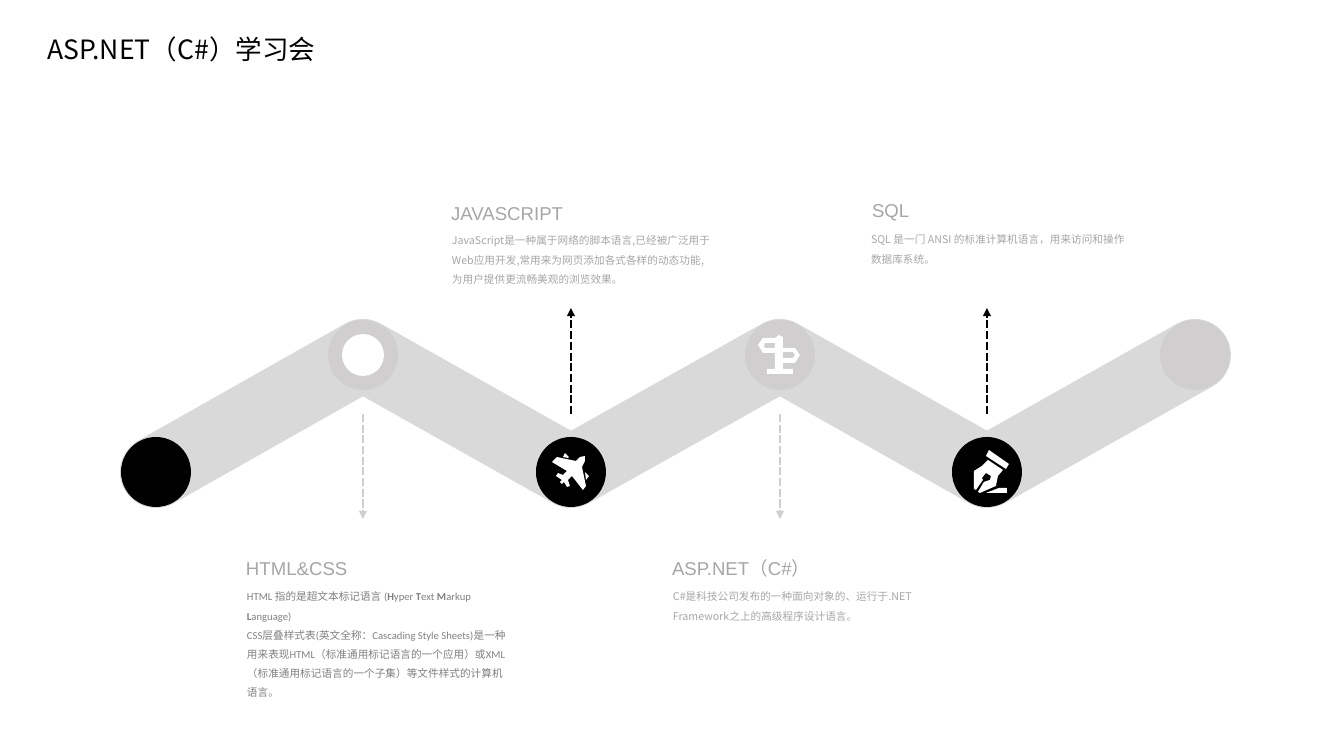
import math

import lxml.etree
import pptx
import pptx.dml.color
import pptx.enum.dml
import pptx.enum.shapes
import pptx.enum.text
import pptx.oxml.ns
import pptx.util

PX = 914400 / 95.6
BLACK = pptx.dml.color.RGBColor(0x00, 0x00, 0x00)
WHITE = pptx.dml.color.RGBColor(0xFF, 0xFF, 0xFF)
BAND_GREY = pptx.dml.color.RGBColor(0xD9, 0xD9, 0xD9)
STOP_GREY = pptx.dml.color.RGBColor(0xD0, 0xCE, 0xCE)
TEXT_GREY = pptx.dml.color.RGBColor(0xA6, 0xA6, 0xA6)
DARK_GREY = pptx.dml.color.RGBColor(0x80, 0x80, 0x80)
CJK_FONT = "Noto Sans CJK SC"

UPPER, LOWER = 355, 472
STOPS = [(156, LOWER), (363, UPPER), (571, LOWER),
         (780, UPPER), (987, LOWER), (1195, UPPER)]
BAND_RADIUS = 36
STOP_SIZE = 70
MARKER_SIZE = 42
ARROW_START = 414

SIGNPOST = [
    [(25, 13), (37, 13), (42, 20), (37, 28), (25, 28), (25, 34), (35, 34),
     (35, 39), (9, 39), (9, 34), (17, 34), (17, 18), (5, 18), (0, 10),
     (5, 3), (17, 3), (21, 0), (25, 2)],
    [(17, 8), (7, 8), (6, 11), (7, 13), (17, 13)],
    [(35, 17), (25, 17), (25, 23), (35, 23), (37, 20)]]
PLANE = [
    [(33, 3), (33, 8), (30, 14), (34, 33), (31, 37), (20, 23), (16, 27),
     (18, 33), (15, 34), (12, 29), (10, 31), (8, 29), (10, 27), (4, 23),
     (6, 20), (11, 22), (15, 18), (0, 9), (5, 4), (24, 8), (28, 4)],
    [(37, 23), (33, 19), (34, 27)],
    [(13, 0), (11, 4), (16, 5), (17, 4)]]
PEN = [
    [(2, 40), (0, 39), (0, 21), (8, 16), (14, 10), (29, 20), (24, 26),
     (22, 36), (6, 43), (4, 42), (10, 32), (16, 30), (17, 26), (12, 23),
     (8, 28), (9, 30)],
    [(12, 43), (33, 43), (33, 38), (25, 38)],
    [(32, 19), (35, 14), (15, 0), (12, 6)]]

TOPICS = [
    ("HTML&CSS", (236, 547), (238, 579, 144), "Calibri", DARK_GREY,
     ["HTML 指的是超文本标记语言 (*H*yper *T*ext *M*arkup *L*anguage)",
      "CSS层叠样式表(英文全称：Cascading Style Sheets)是一种用来表现HTML"
      "（标准通用标记语言的一个应用）或XML（标准通用标记语言的一个子集）"
      "等文件样式的计算机语言。"]),
    ("JAVASCRIPT", (441, 192), (443, 223, 65), CJK_FONT, TEXT_GREY,
     ["JavaScript是一种属于网络的脚本语言,已经被广泛用于Web应用开发,"
      "常用来为网页添加各式各样的动态功能,为用户提供更流畅美观的浏览效果。"]),
    ("ASP.NET（C#）", (662, 547), (664, 579, 45), CJK_FONT, TEXT_GREY,
     ["C#是科技公司发布的一种面向对象的、运行于.NET Framework"
      "之上的高级程序设计语言。"]),
    ("SQL", (862, 189), (862, 222, 45), CJK_FONT, TEXT_GREY,
     ["SQL 是一门 ANSI 的标准计算机语言，用来访问和操作数据库系统。"]),
]


def px(length):
    return pptx.util.Emu(round(length * PX))


def paint(shape, color):
    shape.shadow.inherit = False
    shape.fill.solid()
    shape.fill.fore_color.rgb = color
    shape.line.fill.background()


def add_outline(slide, contours, color, left=0, top=0):
    placed = [[((left + x) * PX, (top + y) * PX) for x, y in contour]
              for contour in contours]
    builder = slide.shapes.build_freeform(*placed[0][0], scale=1.0)
    for index, contour in enumerate(placed):
        if index:
            builder.move_to(*contour[0])
        builder.add_line_segments(contour[1:], close=True)
    paint(builder.convert_to_shape(), color)


def add_disc(slide, center, size, color):
    x, y = center
    disc = slide.shapes.add_shape(pptx.enum.shapes.MSO_SHAPE.OVAL,
                                  px(x - size // 2), px(y - size // 2),
                                  px(size), px(size))
    paint(disc, color)


def band_outline(stops, radius):
    loop = stops + stops[-2:0:-1]
    outline = []
    for index, (x, y) in enumerate(loop):
        before, after = loop[index - 1], loop[(index + 1) % len(loop)]
        heading = math.atan2(y - before[1], x - before[0])
        turn = (math.atan2(after[1] - y, after[0] - x) - heading) % math.tau
        if turn > 1.5 * math.pi:
            turn -= math.tau
            reach, shares = radius / math.cos(turn / 2), [0.5]
        else:
            reach, shares = radius, [step / 24 for step in range(25)]
        for share in shares:
            angle = heading + turn * share - math.pi / 2
            outline.append((x + reach * math.cos(angle),
                            y + reach * math.sin(angle)))
    return outline


def add_arrow(slide, x, end, color):
    arrow = slide.shapes.add_connector(pptx.enum.shapes.MSO_CONNECTOR.STRAIGHT,
                                       px(x), px(ARROW_START), px(x), px(end))
    arrow.line.color.rgb = color
    arrow.line.width = pptx.util.Pt(2)
    arrow.line.dash_style = pptx.enum.dml.MSO_LINE.SQUARE_DOT
    properties = arrow._element.spPr
    qn = pptx.oxml.ns.qn
    lxml.etree.SubElement(properties.find(qn("a:ln")), qn("a:tailEnd"),
                          type="triangle")
    lxml.etree.SubElement(properties, qn("a:effectLst"))


def set_margins(frame, side):
    frame.margin_left = frame.margin_right = px(side)
    frame.margin_top = frame.margin_bottom = px(5)


def style(paragraph, font_name, size, color):
    paragraph.alignment = pptx.enum.text.PP_ALIGN.LEFT
    paragraph.font.name = font_name
    paragraph.font.size = pptx.util.Pt(size)
    paragraph.font.color.rgb = color


def add_text(slide, box, inset, lines, font_name, size, color, spacing):
    frame = slide.shapes.add_textbox(*map(px, box)).text_frame
    frame.word_wrap = True
    set_margins(frame, inset)
    for index, line in enumerate(lines):
        paragraph = frame.add_paragraph() if index else frame.paragraphs[0]
        style(paragraph, font_name, size, color)
        paragraph.line_spacing = spacing
        for part, words in enumerate(line.split("*")):
            run = paragraph.add_run()
            run.text = words
            if part % 2:
                run.font.bold = True


def set_title(slide, words):
    title = slide.shapes.title
    title.left, title.top, title.width, title.height = map(px, (37, 29, 320, 39))
    frame = title.text_frame
    frame.text = words
    frame.auto_size = pptx.enum.text.MSO_AUTO_SIZE.NONE
    frame.vertical_anchor = pptx.enum.text.MSO_ANCHOR.MIDDLE
    set_margins(frame, 10)
    style(frame.paragraphs[0], CJK_FONT, 20, BLACK)


def main():
    deck = pptx.Presentation()
    deck.slide_width, deck.slide_height = px(1344), px(756)
    slide = deck.slides.add_slide(deck.slide_layouts[5])
    set_title(slide, "ASP.NET（C#）学习会")

    add_outline(slide, [band_outline(STOPS, BAND_RADIUS)], BAND_GREY)
    for x, y in STOPS:
        add_disc(slide, (x, y), STOP_SIZE, BLACK if y == LOWER else STOP_GREY)

    add_disc(slide, STOPS[1], MARKER_SIZE, WHITE)
    add_outline(slide, PLANE, WHITE, 552, 453)
    add_outline(slide, SIGNPOST, WHITE, 758, 335)
    add_outline(slide, PEN, WHITE, 974, 450)

    for x, y in STOPS[1:-1]:
        if y == UPPER:
            add_arrow(slide, x, 519, STOP_GREY)
        else:
            add_arrow(slide, x, 308, BLACK)

    for heading, corner, (left, top, height), font_name, color, lines in TOPICS:
        add_text(slide, (left, top, 280, height), 9, lines, font_name, 8, color, 1.5)
        add_text(slide, (*corner, 254, 34), 10, [heading], "Arial", 14, TEXT_GREY, 1.2)

    deck.save("out.pptx")


main()
